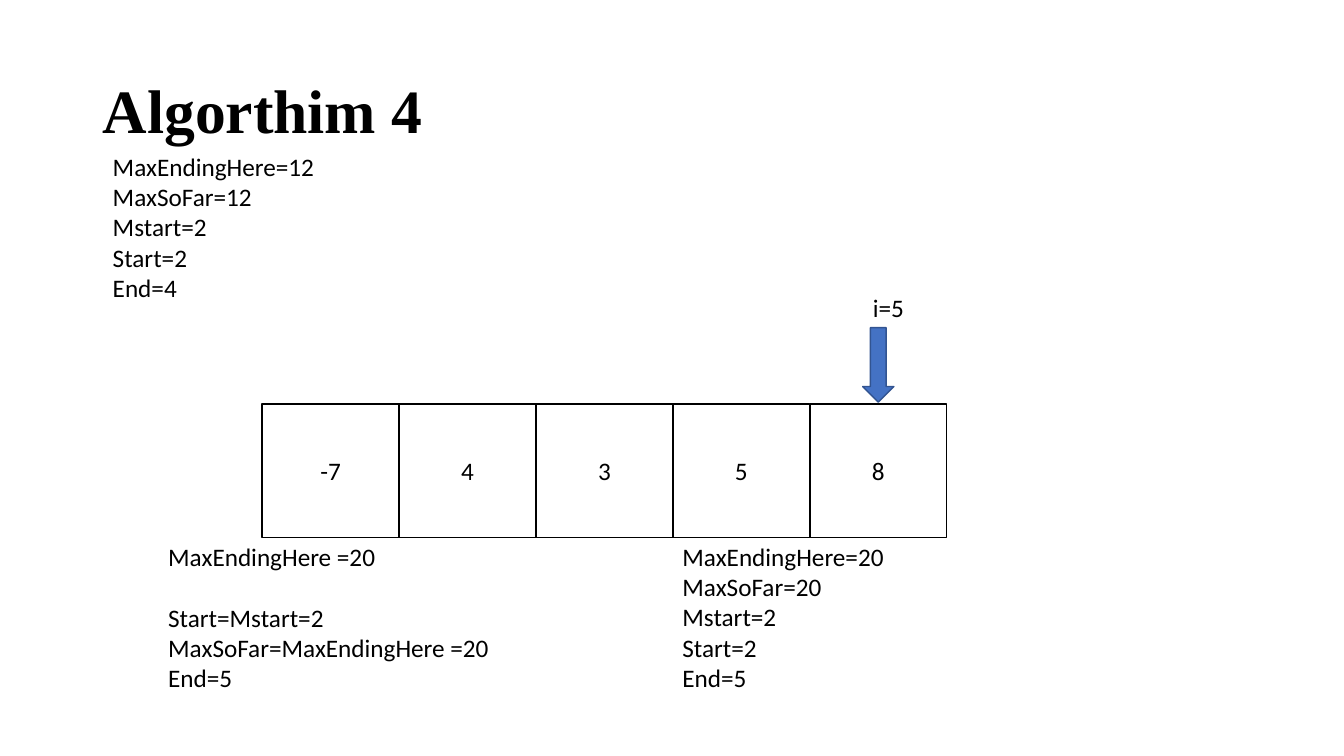
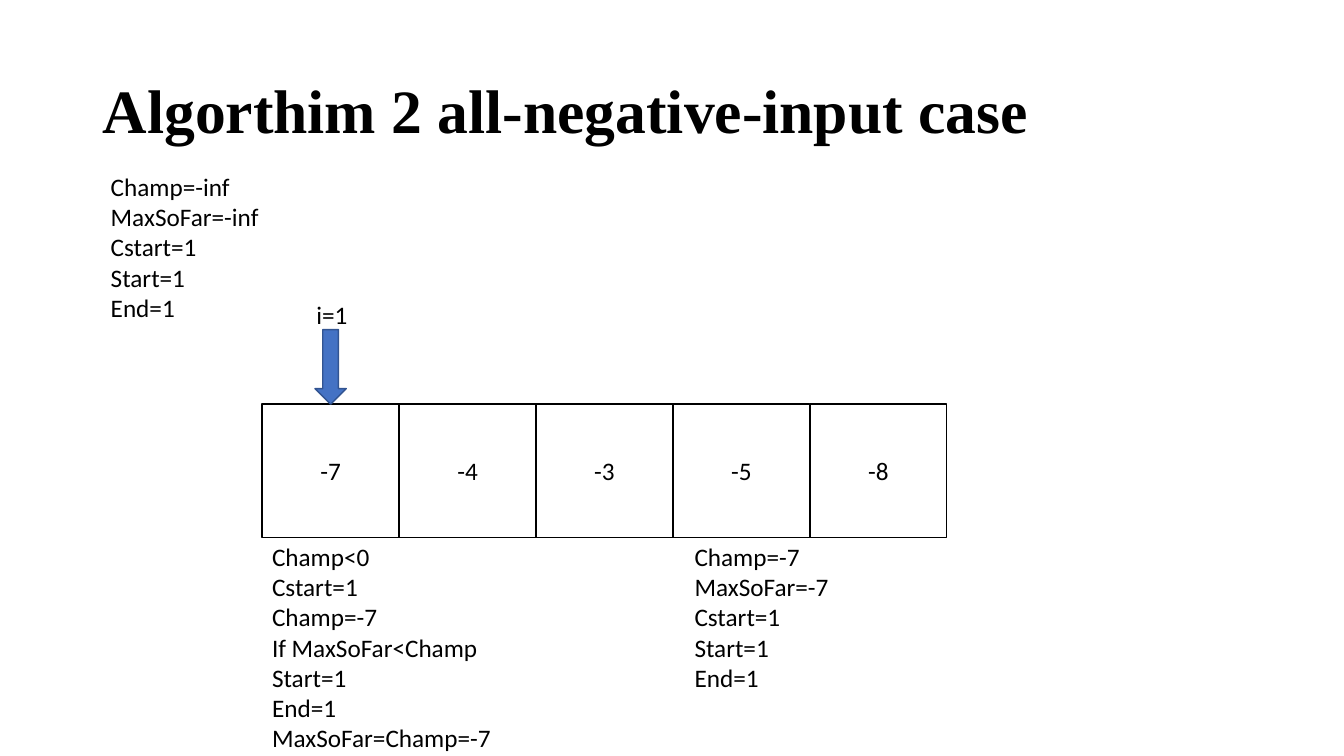
"""Build two slides that trace maximum-subarray algorithms over a row of cells."""

from pptx import Presentation
from pptx.dml.color import RGBColor
from pptx.enum.shapes import MSO_SHAPE
from pptx.enum.text import MSO_ANCHOR, PP_ALIGN
from pptx.util import Inches, Pt

BLACK = RGBColor(0x00, 0x00, 0x00)
WHITE = RGBColor(0xFF, 0xFF, 0xFF)
ARROW_BLUE = RGBColor(0x44, 0x72, 0xC4)
ARROW_EDGE = RGBColor(0x32, 0x54, 0x91)

TITLE_FONT, BODY_FONT = "Times New Roman", "Calibri"
BODY_SIZE, LINE_PITCH = 18, 22

ROW_LEFT, ROW_TOP, ROW_WIDTH, CELL_HEIGHT = 2.6, 4.01, 6.79, 1.32
ARROW_WIDTH, ARROW_HEIGHT = 0.31, 0.74
NOTES_TOP = ROW_TOP + CELL_HEIGHT - 0.01

SLIDES = [
    {
        "title": "Algorthim 4",
        "cells": ["-7", "4", "3", "5", "8"],
        "index": 5,
        "arrow_top": 3.25,
        "label_at": (8.56, 2.85),
        "notes": [
            (1.57, NOTES_TOP, 4.5, ["MaxEndingHere =20", "Start=Mstart=2",
                                    "MaxSoFar=MaxEndingHere =20", "End=5"]),
            (6.67, NOTES_TOP, 2.26, ["MaxEndingHere=20", "MaxSoFar=20",
                                     "Mstart=2", "Start=2", "End=5"]),
            (1.02, 1.45, 2.26, ["MaxEndingHere=12", "MaxSoFar=12",
                                "Mstart=2", "Start=2", "End=4"]),
        ],
        "line_after_gap": "Start=Mstart=2",
    },
    {
        "title": "Algorthim 2 all-negative-input case",
        "cells": ["-7", "-4", "-3", "-5", "-8"],
        "index": 1,
        "arrow_top": 3.27,
        "label_at": (3.04, 2.92),
        "notes": [
            (1, 1.65, 2.26, ["Champ=-inf", "MaxSoFar=-inf",
                             "Cstart=1", "Start=1", "End=1"]),
            (2.6, NOTES_TOP, 3.5, ["Champ<0", "Cstart=1", "Champ=-7",
                                   "If MaxSoFar<Champ", "Start=1", "End=1",
                                   "MaxSoFar=Champ=-7"]),
            (6.79, NOTES_TOP, 2.26, ["Champ=-7", "MaxSoFar=-7",
                                     "Cstart=1", "Start=1", "End=1"]),
        ],
        "line_after_gap": None,
    },
]


def style_font(paragraph, name=BODY_FONT, size=BODY_SIZE, bold=False):
    font = paragraph.font
    font.name, font.size, font.bold = name, Pt(size), bold
    font.color.rgb = BLACK


def add_text(slide, left, top, width, height, lines):
    box = slide.shapes.add_textbox(*map(Inches, (left, top, width, height)))
    frame = box.text_frame
    frame.word_wrap = True
    frame.text = "\n".join(lines)
    for paragraph in frame.paragraphs:
        style_font(paragraph)
    return frame


def add_title(slide, title):
    frame = add_text(slide, 0.92, 0.4, 11.5, 1.45, [title])
    frame.vertical_anchor = MSO_ANCHOR.MIDDLE
    paragraph = frame.paragraphs[0]
    paragraph.line_spacing = 0.9
    style_font(paragraph, TITLE_FONT, 44, True)


def add_block(slide, kind, left, top, width, height, fill, line):
    shape = slide.shapes.add_shape(kind, *map(Inches, (left, top, width, height)))
    shape.shadow.inherit = False
    shape.fill.solid()
    shape.fill.fore_color.rgb = fill
    shape.line.color.rgb = line
    shape.line.width = Pt(1)
    return shape


def add_cells(slide, values, index, arrow_top):
    cell_width = ROW_WIDTH / len(values)
    for position, value in enumerate(values):
        cell = add_block(slide, MSO_SHAPE.RECTANGLE, ROW_LEFT + position * cell_width,
                         ROW_TOP, cell_width, CELL_HEIGHT, WHITE, BLACK)
        cell.text_frame.text = value
        cell.text_frame.vertical_anchor = MSO_ANCHOR.MIDDLE
        paragraph = cell.text_frame.paragraphs[0]
        paragraph.alignment = PP_ALIGN.CENTER
        style_font(paragraph)
    arrow_left = ROW_LEFT + (index - 0.5) * cell_width - ARROW_WIDTH / 2
    add_block(slide, MSO_SHAPE.DOWN_ARROW, arrow_left, arrow_top,
              ARROW_WIDTH, ARROW_HEIGHT, ARROW_BLUE, ARROW_EDGE)


def add_notes(slide, notes, line_after_gap):
    for left, top, width, lines in notes:
        frame = add_text(slide, left, top, width, 0.1 + 0.29 * len(lines), lines)
        for paragraph in frame.paragraphs:
            if paragraph.text == line_after_gap:
                paragraph.space_before = Pt(LINE_PITCH)


def main():
    presentation = Presentation()
    presentation.slide_width = Inches(13.33)
    presentation.slide_height = Inches(7.5)
    for content in SLIDES:
        slide = presentation.slides.add_slide(presentation.slide_layouts[6])
        add_title(slide, content["title"])
        add_cells(slide, content["cells"], content["index"], content["arrow_top"])
        add_text(slide, *content["label_at"], 0.8, 0.4, [f"i={content['index']}"])
        add_notes(slide, content["notes"], content["line_after_gap"])
    presentation.save("out.pptx")


if __name__ == "__main__":
    main()
